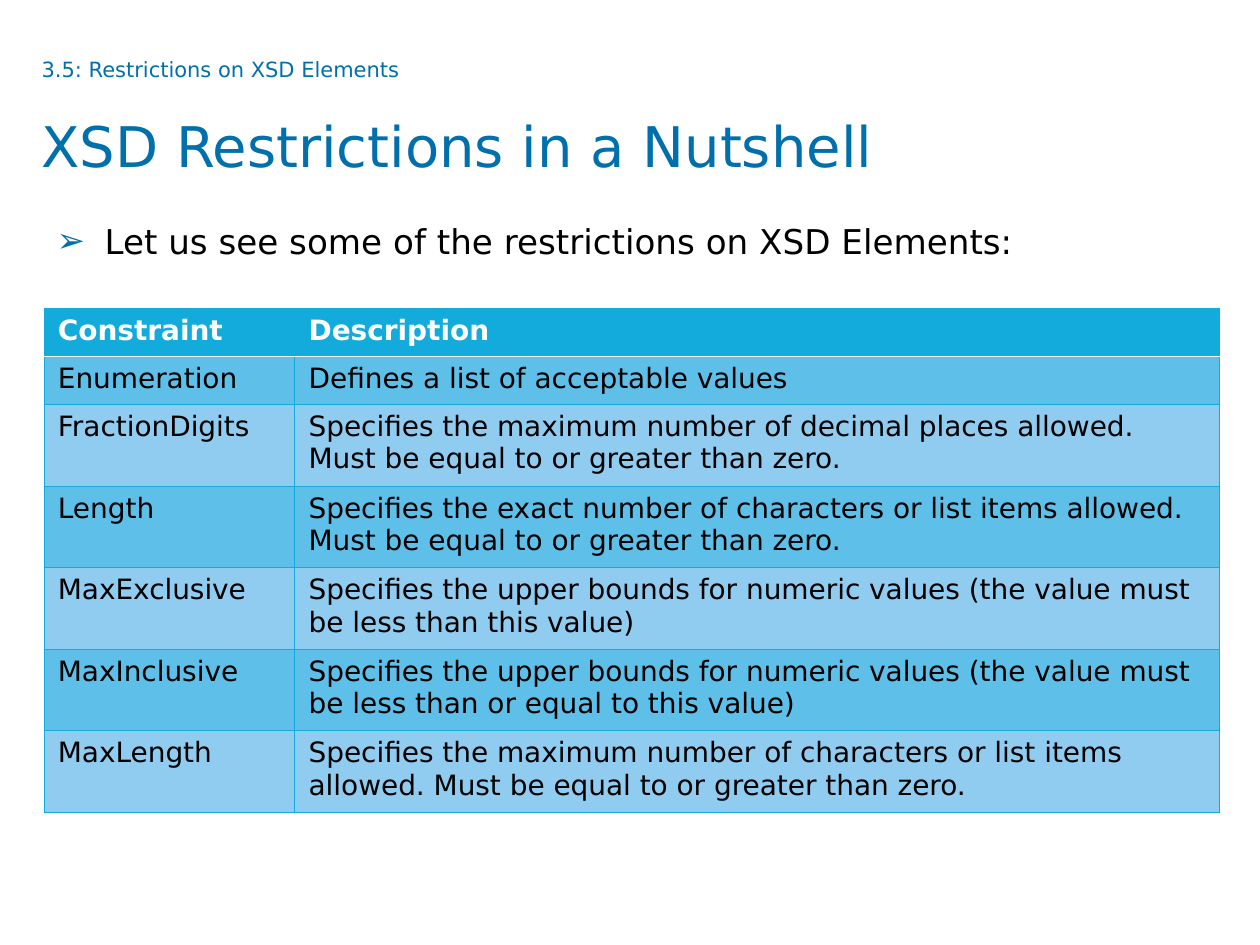
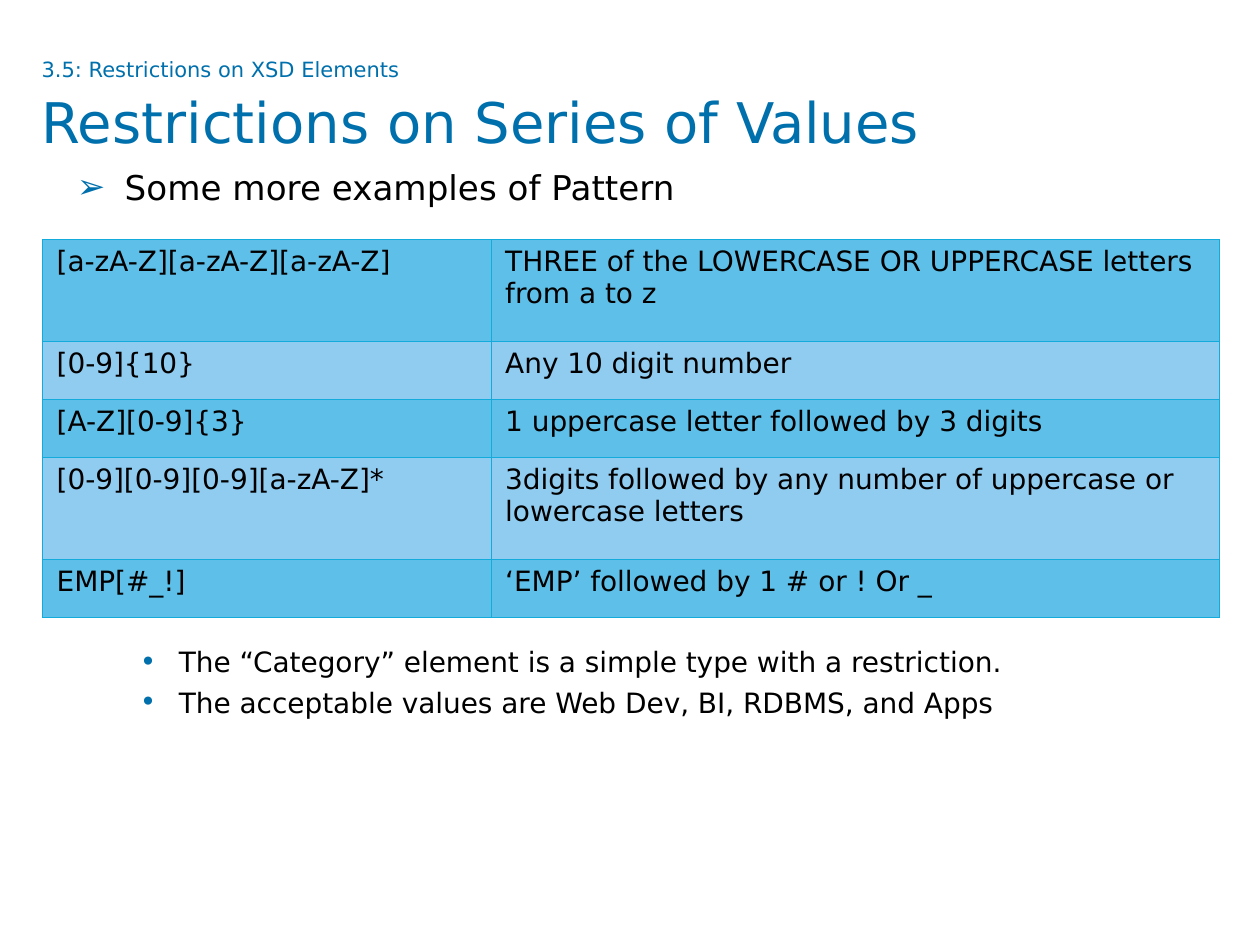
from lxml.etree import SubElement
from pptx import Presentation
from pptx.dml.color import RGBColor
from pptx.enum.text import MSO_ANCHOR, MSO_AUTO_SIZE, PP_ALIGN
from pptx.oxml.ns import qn
from pptx.util import Inches, Pt

FONT = "DejaVu Sans"
COLORS = {
    "title": "0070AD", "text": "000000", "light": "FFFFFF",
    "header": "12ABDB", "odd": "5EBFE8", "even": "90CBF0",
}
COLS, ROWS = 100, 75
SECTION = "3.5: Restrictions on XSD Elements"
TITLE_BOX = (3.3, 4.5, 93.3, 9.4)

CONSTRAINTS = [
    ("Constraint", "Description"),
    ("Enumeration", "Defines a list of acceptable values"),
    ("FractionDigits", "Specifies the maximum number of decimal places allowed. "
     "Must be equal to or greater than zero."),
    ("Length", "Specifies the exact number of characters or list items allowed. "
     "Must be equal to or greater than zero."),
    ("MaxExclusive", "Specifies the upper bounds for numeric values "
     "(the value must be less than this value)"),
    ("MaxInclusive", "Specifies the upper bounds for numeric values "
     "(the value must be less than or equal to this value)"),
    ("MaxLength", "Specifies the maximum number of characters or list items allowed. "
     "Must be equal to or greater than zero."),
]
PATTERNS = [
    ("[a-zA-Z][a-zA-Z][a-zA-Z]",
     "THREE of the LOWERCASE OR UPPERCASE letters from a to z"),
    ("[0-9]{10}", "Any 10 digit number"),
    ("[A-Z][0-9]{3}", "1 uppercase letter followed by 3 digits"),
    ("[0-9][0-9][0-9][a-zA-Z]*",
     "3digits followed by any number of uppercase or lowercase letters"),
    ("EMP[#_!]", "‘EMP’ followed by 1 # or ! Or _"),
]

prs = Presentation()
prs.slide_width, prs.slide_height = Inches(10), Inches(7.5)


def grid(left, top, width, height):
    """Turn grid columns and rows into slide lengths."""
    col, row = prs.slide_width / COLS, prs.slide_height / ROWS
    return [int(n) for n in (left * col, top * row, width * col, height * row)]


def place(sp, box):
    """Move a shape to a box of the grid."""
    sp.left, sp.top, sp.width, sp.height = grid(*box)


def write(p, text, size=16, color="text", bold=False, before=0):
    """Fill a paragraph with one formatted run."""
    p.alignment = PP_ALIGN.LEFT
    p.space_before = Pt(before)
    r = p.add_run()
    r.text = text
    r.font.name, r.font.size, r.font.bold = FONT, Pt(size), bold
    r.font.color.rgb = RGBColor.from_string(COLORS[color])


def add_bullet(p, char, margin, hanging):
    """Give a paragraph a coloured bullet and a hanging indent."""
    pPr = p._p.get_or_add_pPr()
    pPr.set("marL", str(Inches(margin)))
    pPr.set("indent", str(-Inches(hanging)))
    SubElement(SubElement(pPr, qn("a:buClr")), qn("a:srgbClr"), val=COLORS["title"])
    SubElement(pPr, qn("a:buFont"), typeface=FONT)
    SubElement(pPr, qn("a:buChar"), char=char)


def add_border(cell, side, color="header", width=0.5):
    """Draw one side of a table cell."""
    ln = SubElement(cell._tc.get_or_add_tcPr(), qn(f"a:ln{side}"), w=str(Pt(width)))
    SubElement(SubElement(ln, qn("a:solidFill")), qn("a:srgbClr"), val=COLORS[color])


def add_title(s, title, gap):
    """Set the section line and the slide title below it."""
    sp = s.shapes.title
    place(sp, TITLE_BOX)
    tf = sp.text_frame
    tf.margin_left = tf.margin_right = tf.margin_top = tf.margin_bottom = 0
    tf.vertical_anchor, tf.auto_size = MSO_ANCHOR.TOP, MSO_AUTO_SIZE.NONE
    write(tf.paragraphs[0], SECTION, size=12, color="title")
    write(tf.add_paragraph(), title, size=32, color="title", before=gap)


def add_body(s, box, lead, points=(), gap=0):
    """Set the lead line, then its points after a gap for the table."""
    sp = s.placeholders[1]
    place(sp, box)
    tf = sp.text_frame
    tf.auto_size = MSO_AUTO_SIZE.NONE
    write(tf.paragraphs[0], lead, size=19.5)
    add_bullet(tf.paragraphs[0], "➢", 0.38, 0.38)
    for i, point in enumerate(points):
        p = tf.add_paragraph()
        p.level = 1
        write(p, point, before=4 if i else gap)
        add_bullet(p, "•", 0.81, 0.31)


def add_grid_table(s, left, top, widths, heights, data, header=False):
    """Add a banded table, with a header row if asked."""
    box = grid(left, top, sum(widths), sum(heights))
    table = s.shapes.add_table(len(data), len(widths), *box).table
    table.first_row, table.horz_banding = header, False
    for column, width in zip(table.columns, widths):
        column.width = grid(0, 0, width, 0)[2]
    for i, (row, height, texts) in enumerate(zip(table.rows, heights, data)):
        row.height = grid(0, 0, 0, height)[3]
        is_header = header and i == 0
        band = "header" if is_header else ("odd", "even")[(i - header) % 2]
        for cell, text in zip(row.cells, texts):
            cell.margin_left = cell.margin_right = Inches(0.11)
            write(cell.text_frame.paragraphs[0], text,
                  color="light" if is_header else "text", bold=is_header)
            rule = {"color": "light", "width": 1}
            add_border(cell, "L")
            add_border(cell, "R")
            add_border(cell, "T", **(rule if header and i == 1 else {}))
            add_border(cell, "B", **(rule if is_header else {}))
            cell.fill.solid()
            cell.fill.fore_color.rgb = RGBColor.from_string(COLORS[band])


def add_content_slide():
    """Add a slide with title and body placeholders."""
    return prs.slides.add_slide(prs.slide_layouts[1])


def build_nutshell():
    """Build the slide that lists the constraints."""
    s = add_content_slide()
    add_title(s, "XSD Restrictions in a Nutshell", gap=17)
    add_body(s, (3.5, 17, 90, 55), "Let us see some of the restrictions on XSD Elements:")
    add_grid_table(s, 3.5, 24.5, [19.9, 73.4], [3.8] * 2 + [6.48] * 5,
                   CONSTRAINTS, header=True)


def build_patterns():
    """Build the slide that shows pattern examples."""
    s = add_content_slide()
    add_title(s, "Restrictions on Series of Values", gap=3)
    add_body(s, (5.1, 12.7, 90, 55), "Some more examples of Pattern", [
        "The “Category” element is a simple type with a restriction.",
        "The acceptable values are Web Dev, BI, RDBMS, and Apps",
    ], gap=250)
    add_grid_table(s, 3.4, 19, [35.6, 57.8], [8.1, 4.6, 4.6, 8.1, 4.6], PATTERNS)


if __name__ == "__main__":
    build_nutshell()
    build_patterns()
    prs.save("out.pptx")
